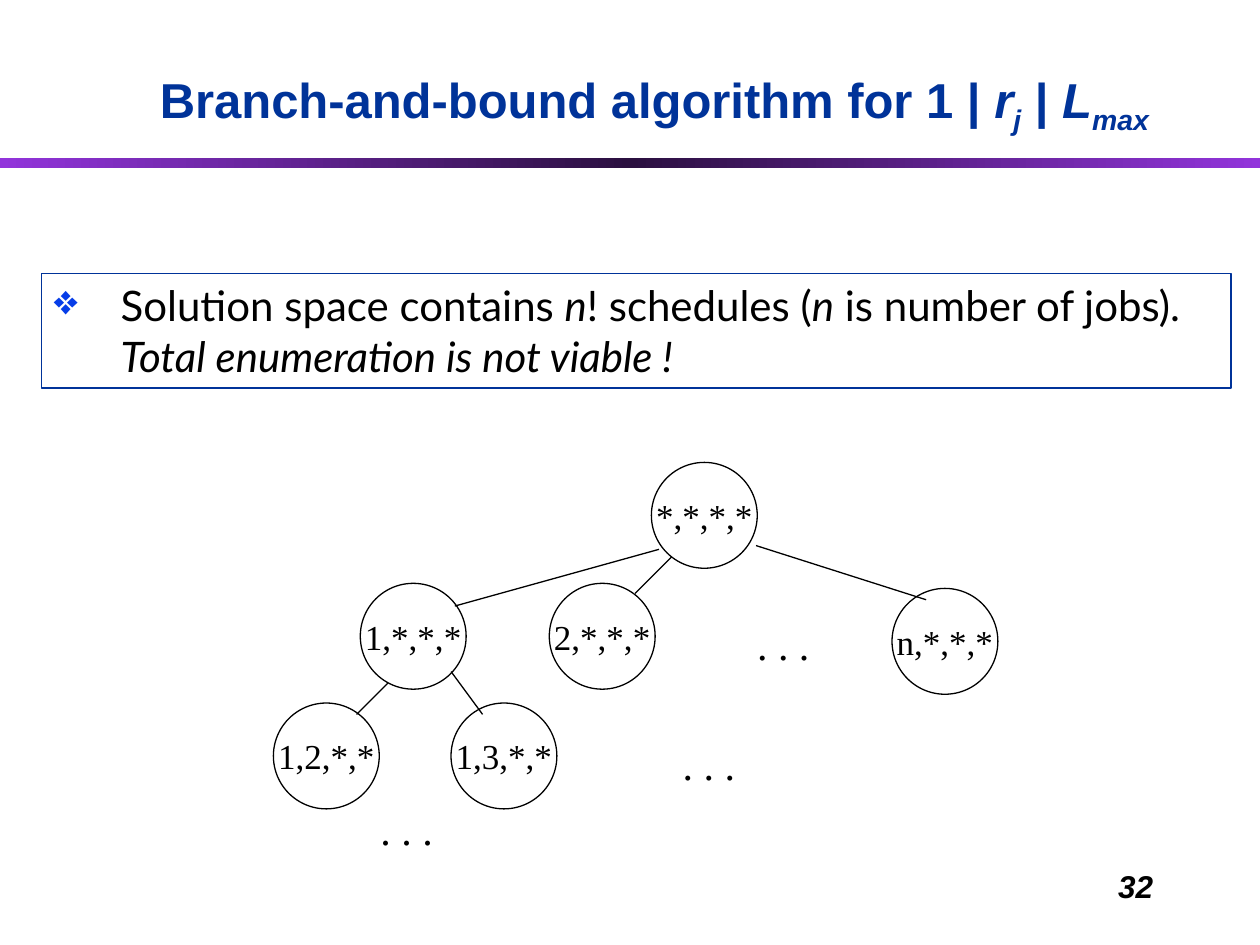
from copy import deepcopy

from lxml import etree
from pptx import Presentation
from pptx.dml import color
from pptx.enum import shapes, text
from pptx.oxml import ns
from pptx.util import Inches, Pt

COLORS = {"ink": "000000", "navy": "003399", "bullet": "063DE8",
          "violet": "9234DB", "dark": "2B1040"}
SERIF = "Times New Roman"
NODE_SIZE = 0.84
NODES = [("*,*,*,*", 3.00, 0), ("1,*,*,*", 0.69, 0.96), ("2,*,*,*", 2.19, 0.96),
         ("n,*,*,*", 4.91, 1.00), ("1,2,*,*", 0, 1.91), ("1,3,*,*", 1.41, 1.91)]
BRANCHES = [(3.06, 0.69, 1.44, 1.14), (3.16, 0.75, 2.87, 1.04),
            (3.83, 0.66, 5.18, 1.09), (0.91, 1.75, 0.66, 2.00),
            (1.41, 1.66, 1.66, 2.00)]
ELLIPSES = [(3.74, 1.19), (3.15, 2.14), (0.75, 2.66)]


def rgb(name):
    """Return the named colour."""
    return color.RGBColor.from_string(COLORS[name])


def add_run(paragraph, content, size, font, ink="ink", bold=False, italic=False, baseline=0):
    """Append one formatted run to a paragraph."""
    run = paragraph.add_run()
    run.text = content
    run.font.size = Pt(size)
    run.font.name = font
    run.font.bold = bold
    run.font.italic = italic
    run.font.color.rgb = rgb(ink)
    if baseline:
        run.font._element.set("baseline", str(baseline))


def add_text_box(slide, left, top, width, height, wrap=False):
    """Add a text box and return its first paragraph."""
    frame = slide.shapes.add_textbox(
        Inches(left), Inches(top), Inches(width), Inches(height)).text_frame
    frame.word_wrap = wrap
    return frame.paragraphs[0]


def add_outline(slide, kind, left, top, width, height, ink):
    """Add an unfilled outlined shape."""
    shape = slide.shapes.add_shape(
        kind, Inches(left), Inches(top), Inches(width), Inches(height))
    shape.shadow.inherit = False
    shape.fill.background()
    shape.line.color.rgb = rgb(ink)
    shape.line.width = Pt(0.75)
    return shape


def add_divider(slide, left, top, width, height):
    """Add the gradient bar below the title."""
    bar = slide.shapes.add_shape(shapes.MSO_SHAPE.RECTANGLE, Inches(left),
                                 Inches(top), Inches(width), Inches(height))
    bar.shadow.inherit = False
    bar.line.fill.background()
    bar.fill.gradient()
    bar.fill.gradient_angle = 0
    stop_list = bar._element.spPr.find(".//" + ns.qn("a:gsLst"))
    stop_list.append(deepcopy(stop_list[-1]))
    for stop, position, name in zip(bar.fill.gradient_stops, (0, 0.5, 1),
                                    ("violet", "dark", "violet")):
        stop.position = position
        stop.color.rgb = rgb(name)


def add_title(slide, left, top, width, height):
    """Add the title with its italic symbols and subscripts."""
    paragraph = add_text_box(slide, left, top, width, height)
    for content, italic, baseline in [
            ("Branch-and-bound algorithm for 1 | ", False, 0), ("r", True, 0),
            ("j", True, -25000), (" | ", False, 0), ("L", True, 0),
            ("max", True, -25000)]:
        add_run(paragraph, content, 28, "Arial", "navy", True, italic, baseline)


def add_statement(slide, left, top, width, height):
    """Add the framed statement with a bulleted first line."""
    box = add_outline(slide, shapes.MSO_SHAPE.RECTANGLE, left, top, width, height, "navy")
    frame = box.text_frame
    frame.word_wrap = True
    frame.vertical_anchor = text.MSO_ANCHOR.TOP
    lines = [[("Solution space contains ", False), ("n", True), ("! schedules (", False),
              ("n", True), (" is number of jobs).", False)],
             [("Total enumeration is not viable !", True)]]
    indent = Inches(0.53)
    for index, line in enumerate(lines):
        paragraph = frame.add_paragraph() if index else frame.paragraphs[0]
        paragraph.alignment = text.PP_ALIGN.LEFT
        properties = paragraph._p.get_or_add_pPr()
        properties.set("marL", str(indent))
        if index == 0:
            properties.set("indent", str(-indent))
            bullet_color = etree.SubElement(properties, ns.qn("a:buClr"))
            etree.SubElement(bullet_color, ns.qn("a:srgbClr"), val=COLORS["bullet"])
            etree.SubElement(properties, ns.qn("a:buChar"), char="❖")
        for content, italic in line:
            add_run(paragraph, content, 24, "Lato", italic=italic)


def add_node(slide, label, left, top):
    """Add one labelled circle of the tree."""
    node = add_outline(slide, shapes.MSO_SHAPE.OVAL, left, top, NODE_SIZE, NODE_SIZE, "ink")
    frame = node.text_frame
    frame.word_wrap = False
    frame.vertical_anchor = text.MSO_ANCHOR.MIDDLE
    frame.paragraphs[0].alignment = text.PP_ALIGN.CENTER
    add_run(frame.paragraphs[0], label, 20, SERIF)


def add_branch(slide, start_x, start_y, end_x, end_y):
    """Add one straight branch of the tree."""
    branch = slide.shapes.add_connector(
        shapes.MSO_CONNECTOR.STRAIGHT, Inches(start_x), Inches(start_y),
        Inches(end_x), Inches(end_y))
    branch.line.color.rgb = rgb("ink")
    branch.line.width = Pt(0.75)
    etree.SubElement(branch._element.spPr, ns.qn("a:effectLst"))


def add_tree(slide, left, top):
    """Add the search tree with its nodes, branches and dots."""
    for label, x, y in NODES:
        add_node(slide, label, left + x, top + y)
    for start_x, start_y, end_x, end_y in BRANCHES:
        add_branch(slide, left + start_x, top + start_y, left + end_x, top + end_y)
    for x, y in ELLIPSES:
        add_run(add_text_box(slide, left + x, top + y, 0.62, 0.5), ". . .", 24, SERIF)


def add_page_number(slide, left, top, width, height):
    """Add the right-aligned page number."""
    paragraph = add_text_box(slide, left, top, width, height, wrap=True)
    paragraph.alignment = text.PP_ALIGN.RIGHT
    add_run(paragraph, "32", 18, "Arial", bold=True, italic=True)


def main():
    """Build and save the slide."""
    presentation = Presentation()
    presentation.slide_width = Inches(10)
    presentation.slide_height = Inches(7.5)
    slide = presentation.slides.add_slide(presentation.slide_layouts[6])
    add_divider(slide, 0, 1.25, 10, 0.08)
    add_page_number(slide, 7.17, 6.83, 2.08, 0.5)
    add_tree(slide, 2.17, 3.67)
    add_title(slide, 1.17, 0.5, 8.16, 0.57)
    add_statement(slide, 0.33, 2.17, 9.44, 0.91)
    presentation.save("out.pptx")


if __name__ == "__main__":
    main()
